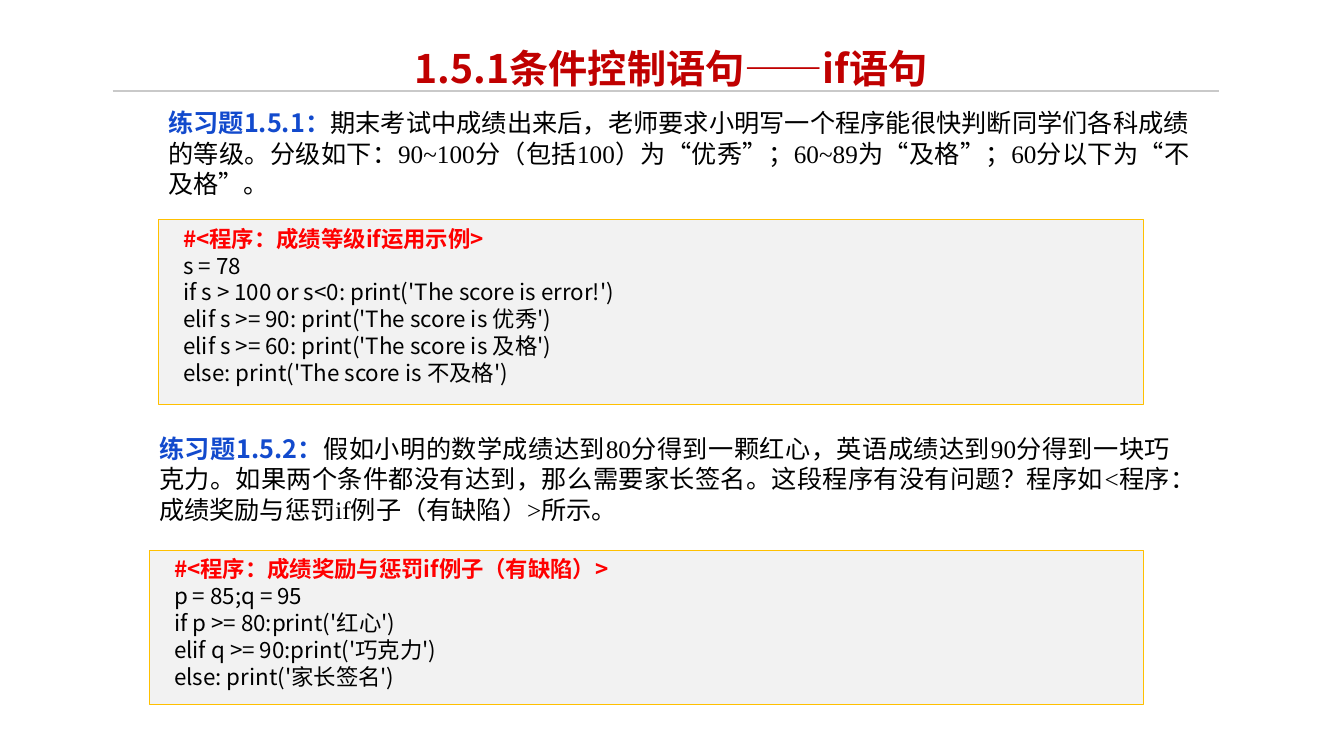
from lxml.etree import SubElement
from pptx import Presentation
from pptx.dml.color import RGBColor
from pptx.enum.shapes import MSO_CONNECTOR as Connector, MSO_SHAPE as Shape
from pptx.enum.text import MSO_ANCHOR as Anchor, PP_ALIGN as Align
from pptx.oxml.ns import qn
from pptx.util import Cm, Pt

SANS = "Noto Sans CJK SC"
SERIF = "Times New Roman"
TITLE_RED = RGBColor(0xC0, 0x00, 0x00)
LABEL_BLUE = RGBColor(0x12, 0x4A, 0xCD)
CODE_RED = RGBColor(0xFF, 0x00, 0x00)
BLACK = RGBColor(0x00, 0x00, 0x00)
RULE_GREY = RGBColor(0xC9, 0xC9, 0xC9)
CODE_FILL = RGBColor(0xF2, 0xF2, 0xF2)
CODE_BORDER = RGBColor(0xFF, 0xC0, 0x00)

EXERCISE_1 = (
    "练习题1.5.1：",
    "期末考试中成绩出来后，老师要求小明写一个程序能很快判断同学们各科成绩的等级。"
    "分级如下：90~100分（包括100）为“优秀”；60~89为“及格”；60分以下为“不及格”。",
)
EXERCISE_2 = (
    "练习题1.5.2：",
    "假如小明的数学成绩达到80分得到一颗红心，英语成绩达到90分得到一块巧克力。"
    "如果两个条件都没有达到，那么需要家长签名。这段程序有没有问题？"
    "程序如<程序：成绩奖励与惩罚if例子（有缺陷）>所示。",
)
GRADE_CODE = """#<程序：成绩等级if运用示例>
s = 78
if s > 100 or s<0: print('The score is error!')
elif s >= 90: print('The score is 优秀')
elif s >= 60: print('The score is 及格')
else: print('The score is 不及格')"""
REWARD_CODE = """#<程序：成绩奖励与惩罚if例子（有缺陷）>
p = 85;q = 95
if p >= 80:print('红心')
elif q >= 90:print('巧克力')
else: print('家长签名')"""


def format_run(run, size, color, bold=False, name=SANS):
    run.font.size = Pt(size)
    run.font.bold = bold
    run.font.color.rgb = color
    run.font.name = name
    # Chinese characters always use the sans face
    SubElement(run.font._element, qn("a:ea"), typeface=SANS)


def add_text_box(slide, left, top, width, height):
    frame = slide.shapes.add_textbox(Cm(left), Cm(top), Cm(width), Cm(height)).text_frame
    frame.word_wrap = True
    return frame


def add_title(slide, text):
    frame = add_text_box(slide, 5.97, 1.02, 21.89, 1.55)
    frame.vertical_anchor = Anchor.MIDDLE
    paragraph = frame.paragraphs[0]
    paragraph.text = text
    paragraph.alignment = Align.CENTER
    paragraph.line_spacing = 0.9
    format_run(paragraph.runs[0], 28, TITLE_RED, bold=True)


def add_rule(slide, left, right, top):
    rule = slide.shapes.add_connector(
        Connector.STRAIGHT, Cm(left), Cm(top), Cm(right), Cm(top))
    rule.line.color.rgb = RULE_GREY
    rule.line.width = Pt(1)
    SubElement(rule._element.spPr, qn("a:effectLst"))


def add_exercise(slide, left, top, width, exercise):
    label, question = exercise
    paragraph = add_text_box(slide, left, top, width, 2.57).paragraphs[0]
    paragraph.alignment = Align.JUSTIFY
    paragraph.line_spacing = Pt(21.6)
    paragraph.text = label
    format_run(paragraph.runs[0], 18, LABEL_BLUE, bold=True)
    run = paragraph.add_run()
    run.text = question
    format_run(run, 18, BLACK, name=SERIF)


def add_code_box(slide, left, top, width, height, code):
    shape = slide.shapes.add_shape(
        Shape.RECTANGLE, Cm(left), Cm(top), Cm(width), Cm(height))
    shape.shadow.inherit = False
    shape.fill.solid()
    shape.fill.fore_color.rgb = CODE_FILL
    shape.line.color.rgb = CODE_BORDER
    shape.line.width = Pt(0.75)
    frame = shape.text_frame
    frame.word_wrap = True
    frame.vertical_anchor = Anchor.TOP
    frame.text = code
    for number, paragraph in enumerate(frame.paragraphs):
        paragraph.alignment = Align.JUSTIFY
        paragraph.line_spacing = Pt(19.2)
        paragraph._p.get_or_add_pPr().set("indent", str(Cm(0.38)))
        heading = number == 0
        format_run(paragraph.runs[0], 16, CODE_RED if heading else BLACK, bold=heading)


def main():
    presentation = Presentation()
    presentation.slide_width = Cm(33.87)
    presentation.slide_height = Cm(19.05)
    slide = presentation.slides.add_slide(presentation.slide_layouts[6])

    # Heading
    add_rule(slide, 2.84, 30.71, 2.29)
    add_title(slide, "1.5.1条件控制语句——if语句")

    # First exercise and its program
    add_exercise(slide, 3.99, 2.59, 26.24, EXERCISE_1)
    add_code_box(slide, 3.99, 5.54, 24.84, 4.65, GRADE_CODE)

    # Second exercise and its program
    add_exercise(slide, 3.76, 10.8, 25.98, EXERCISE_2)
    add_code_box(slide, 3.76, 13.87, 25.07, 3.89, REWARD_CODE)

    presentation.save("out.pptx")


if __name__ == "__main__":
    main()
